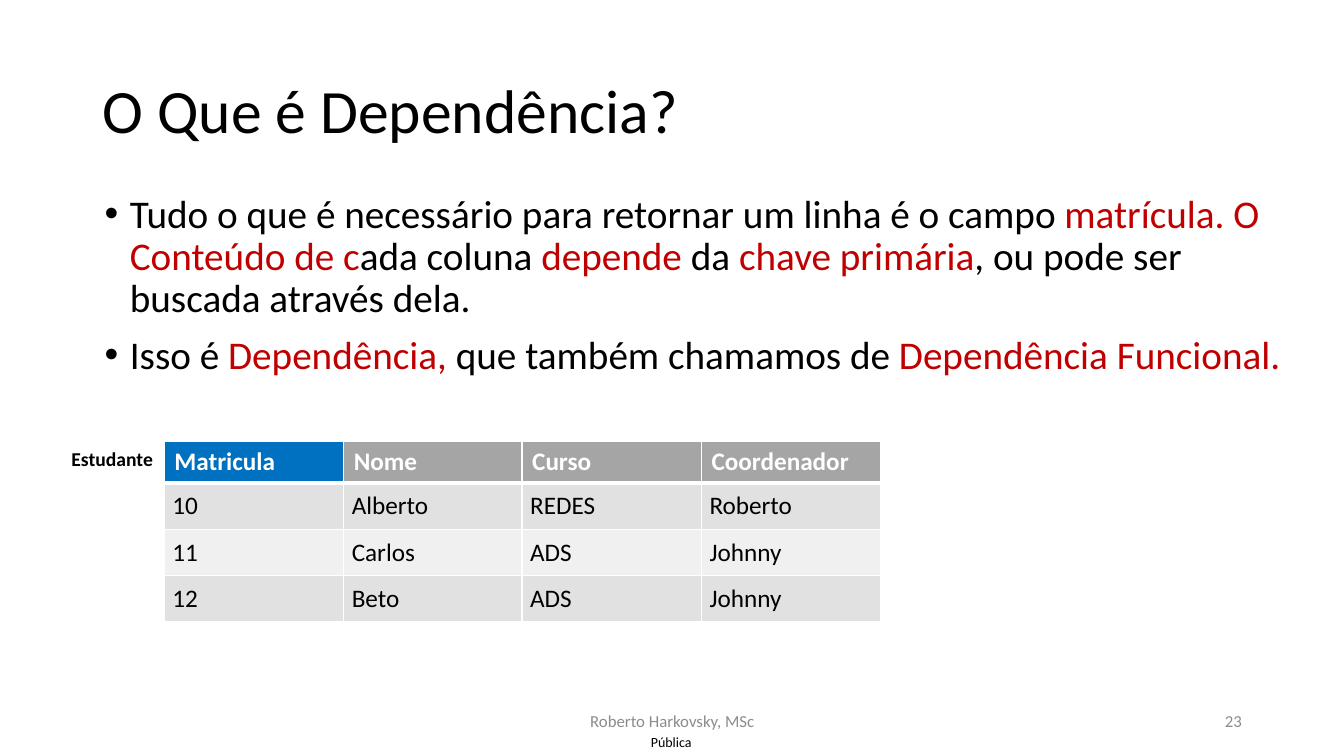
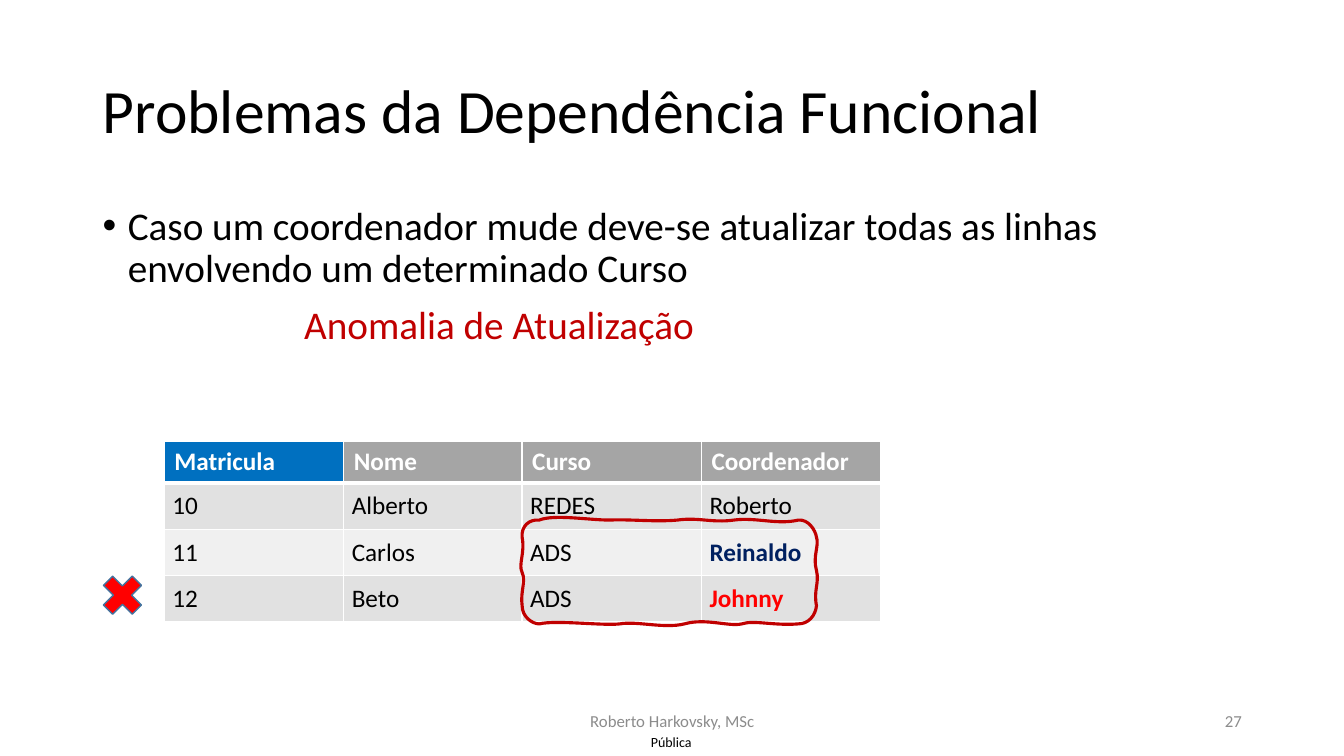
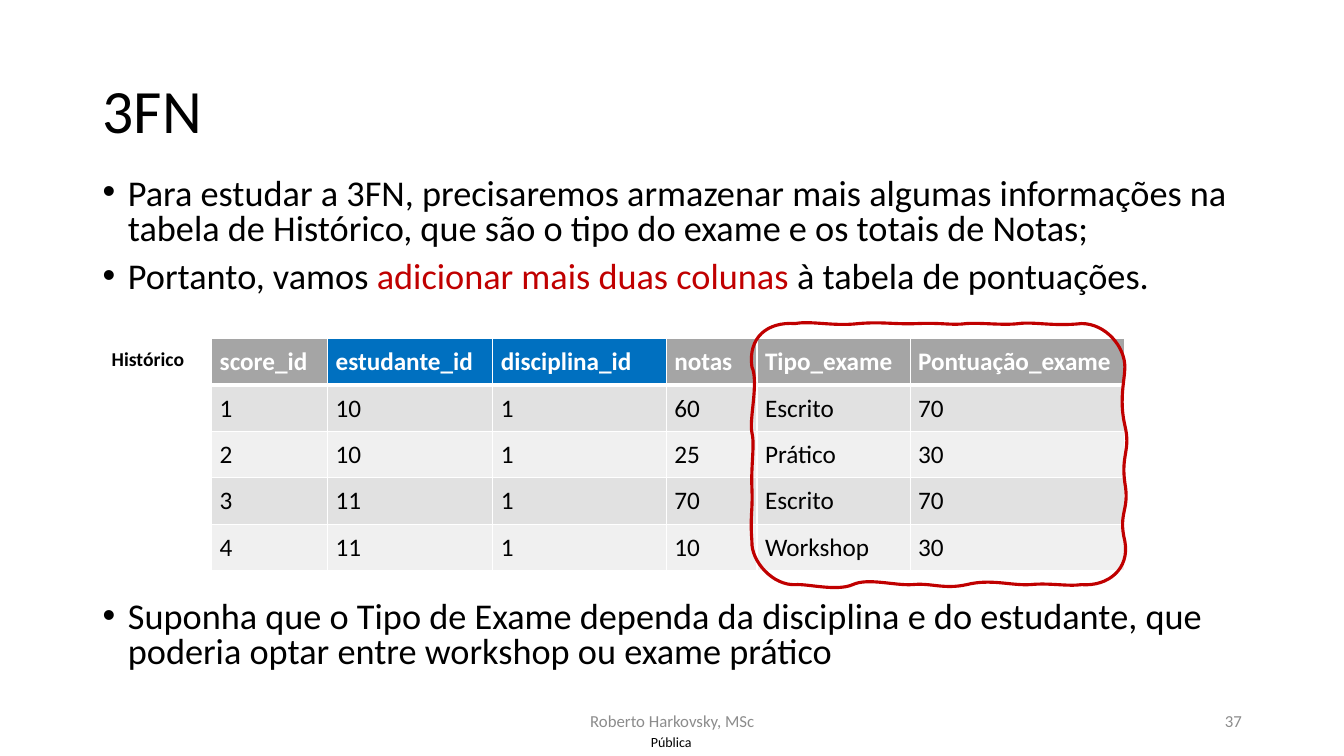
from lxml.etree import SubElement
from pptx import Presentation
from pptx.dml.color import RGBColor
from pptx.enum.shapes import MSO_SHAPE
from pptx.enum.text import MSO_ANCHOR, MSO_AUTO_SIZE, PP_ALIGN
from pptx.oxml.ns import qn
from pptx.util import Emu, Pt

SCALE = 9144  # one px is a hundredth of an inch
FONT = "Calibri"
HUES = {
    "black": "000000", "white": "FFFFFF", "gray": "8C8C8C", "key": "0070C0",
    "head": "A5A5A5", "odd": "E1E1E1", "even": "F0F0F0", "dark": "C00000",
    "red": "FF0000", "navy": "002060", "edge": "43739E",
}


def px(size):
    return Emu(round(size * SCALE))


def hue(name):
    return RGBColor.from_string(HUES[name])


class Deck:
    def __init__(self):
        self.prs = Presentation()
        self.prs.slide_width, self.prs.slide_height = px(4000 / 3), px(750)
        self.slide = None

    def page(self, title, number):
        """Start a slide with its title and footer."""
        self.slide = self.prs.slides.add_slide(self.prs.slide_layouts[5])
        head = self.slide.shapes.title
        head.left, head.top, head.width, head.height = map(px, (92, 40, 1150, 145))
        frame = head.text_frame
        frame.auto_size = MSO_AUTO_SIZE.NONE
        frame.vertical_anchor = MSO_ANCHOR.MIDDLE
        para = frame.paragraphs[0]
        para.alignment, para.line_spacing = PP_ALIGN.LEFT, 0.9
        self.run(para, title, 44)
        foot = [((631, 722, 70, 28), "Pública", 10, "black", PP_ALIGN.CENTER, 0),
                ((442, 695, 450, 40), "Roberto Harkovsky, MSc", 12, "gray", PP_ALIGN.CENTER, 5),
                ((942, 695, 300, 40), number, 12, "gray", PP_ALIGN.RIGHT, 5)]
        for box, words, size, ink, side, pad in foot:
            frame = self.frame(box, pad)
            frame.vertical_anchor = MSO_ANCHOR.MIDDLE
            frame.paragraphs[0].alignment = side
            self.run(frame.paragraphs[0], words, size, ink)

    def frame(self, box, pad=5, wrap=True):
        frame = self.slide.shapes.add_textbox(*map(px, box)).text_frame
        frame.word_wrap = wrap
        frame.margin_top = frame.margin_bottom = px(pad)
        frame.margin_left = frame.margin_right = px(2 * pad)
        return frame

    def run(self, para, words, size, ink="black", bold=False):
        run = para.add_run()
        run.text = words
        font = run.font
        font.name, font.size, font.bold = FONT, Pt(size), bold
        font.color.rgb = hue(ink)

    def body(self, box, items, size=28, lead=0.9):
        """Each item is (indent, space before, runs); indent 0 means a bullet."""
        frame = self.frame(box)
        for i, (indent, gap, runs) in enumerate(items):
            para = frame.add_paragraph() if i else frame.paragraphs[0]
            props = para._p.get_or_add_pPr()
            props.set("marL", str(px(indent or 25)))
            props.set("indent", str(px(0 if indent else -25)))
            if not indent:
                SubElement(props, qn("a:buFont"), typeface="Arial")
                SubElement(props, qn("a:buChar"), char="•")
            para.line_spacing = lead
            para.space_before = Pt(gap)
            for words, *ink in runs:
                self.run(para, words, size, *ink)

    def label(self, box, words):
        self.run(self.frame(box, wrap=False).paragraphs[0], words, 14, bold=True)

    def border(self, cell, row):
        props = cell._tc.get_or_add_tcPr()
        wide = {"lnT": row == 1, "lnB": row == 0}
        for side in ("lnL", "lnR", "lnT", "lnB"):
            line = SubElement(props, qn("a:" + side),
                              w=str(Pt(3 if wide.get(side) else 1)))
            fill = SubElement(line, qn("a:solidFill"))
            SubElement(fill, qn("a:srgbClr"), val=HUES["white"])

    def table(self, box, cols, rows, keys, pad=(8, 8), marks=None):
        """Keys are the blue headings; marks maps a cell to its ink."""
        grid = self.slide.shapes.add_table(len(rows), len(cols), *map(px, box)).table
        grid.horz_banding = False
        for col, wide in zip(grid.columns, cols):
            col.width = px(wide)
        for r, row in enumerate(rows):
            grid.rows[r].height = px(41)
            for c, words in enumerate(row):
                cell = grid.cell(r, c)
                side, edge = (8, 8) if r else pad
                cell.margin_left = cell.margin_right = px(side)
                cell.margin_top = cell.margin_bottom = px(edge)
                mark = (marks or {}).get((r, c))
                self.border(cell, r)
                cell.fill.solid()
                if r:
                    shade = "odd" if r % 2 else "even"
                else:
                    shade = "key" if c in keys else "head"
                cell.fill.fore_color.rgb = hue(shade)
                ink = mark or ("black" if r else "white")
                self.run(cell.text_frame.paragraphs[0], words, 18, ink,
                         bold=not r or bool(mark))

    def cross(self, box):
        shape = self.slide.shapes.add_shape(MSO_SHAPE.MATH_MULTIPLY, *map(px, box))
        shape.shadow.inherit = False
        shape.fill.solid()
        shape.fill.fore_color.rgb = hue("red")
        shape.line.color.rgb, shape.line.width = hue("edge"), Pt(1)

    def ring(self, start, bends):
        """Hand-drawn outline; each bend has two handles and an end."""
        pen = self.slide.shapes.build_freeform(*map(px, start), scale=1.0)
        pen.add_line_segments([tuple(map(px, bend[4:])) for bend in bends], close=True)
        shape = pen.convert_to_shape()
        # Turn the straight segments into cubic curves
        for line, bend in zip(list(shape._element.iter(qn("a:lnTo"))), bends):
            arc = line.makeelement(qn("a:cubicBezTo"))
            for x, y in zip(bend[::2], bend[1::2]):
                SubElement(arc, qn("a:pt"), x=str(px(x) - shape.left),
                           y=str(px(y) - shape.top))
            line.getparent().replace(line, arc)
        shape.shadow.inherit = False
        shape.fill.background()
        shape.line.color.rgb, shape.line.width = hue("dark"), Pt(2.25)


def students(deck, rows, marks=None):
    heads = ("Matricula", "Nome", "Curso", "Coordenador")
    deck.table((163, 438, 711, 181), [178, 177, 178, 178], [heads, *rows], {0},
               (10, 5), marks)


def main():
    deck = Deck()
    first = ("10", "Alberto", "REDES", "Roberto")

    # Dependency
    deck.page("O Que é Dependência?", "23")
    deck.body((94, 188, 1189, 476), [
        (0, 0, [("Tudo o que é necessário para retornar um linha é o campo ",),
                ("matrícula. O Conteúdo de c", "dark"), ("ada coluna ",),
                ("depende", "dark"), (" da ",), ("chave primária", "dark"),
                (", ou pode ser buscada através dela.",)]),
        (0, 10, [("Isso é ",), ("Dependência, ", "dark"),
                 ("que também chamamos de ",), ("Dependência Funcional.", "dark")]),
    ])
    students(deck, [first, ("11", "Carlos", "ADS", "Johnny"),
                    ("12", "Beto", "ADS", "Johnny")])
    deck.label((61, 438, 102, 34), "Estudante")

    # Update anomaly
    deck.page("Problemas da Dependência Funcional", "27")
    deck.body((92, 200, 1150, 476), [
        (0, 0, [("Caso um coordenador mude deve-se atualizar todas as linhas "
                 "envolvendo um determinado Curso",)]),
        (200, 10, [("Anomalia de Atualização", "dark")]),
    ])
    students(deck, [first, ("11", "Carlos", "ADS", "Reinaldo"),
                    ("12", "Beto", "ADS", "Johnny")],
             {(2, 3): "navy", (3, 3): "red"})
    deck.cross((94, 563, 55, 55))
    deck.ring((518, 533), [
        (517, 522, 525, 515, 535, 516), (550, 510, 584, 516, 605, 516),
        (625, 515, 650, 518, 672, 516), (693, 513, 706, 519, 728, 516),
        (750, 513, 771, 521, 792, 516), (802, 515, 809, 526, 810, 533),
        (813, 541, 806, 552, 810, 566), (813, 579, 807, 585, 810, 601),
        (809, 611, 802, 619, 792, 619), (768, 621, 748, 615, 736, 619),
        (723, 622, 700, 613, 679, 619), (659, 624, 632, 616, 615, 619),
        (598, 621, 552, 615, 535, 619), (528, 619, 518, 612, 518, 601),
        (516, 587, 522, 577, 518, 568), (514, 560, 521, 549, 518, 533),
    ])

    # Third normal form
    deck.page("3FN", "37")
    deck.body((92, 172, 1181, 514), [
        (0, 0, [("Para estudar a 3FN, precisaremos armazenar mais algumas informações "
                 "na tabela de Histórico, que são o tipo do exame e os totais de Notas;",)]),
        (0, 10, [("Portanto, vamos ",), ("adicionar mais duas colunas ", "dark"),
                 ("à tabela de pontuações.",)]),
        (0, 218, [("Suponha que o Tipo de Exame dependa da disciplina e do estudante, "
                   "que poderia optar entre workshop ou exame prático",)]),
    ], 25.9, 0.8)
    deck.table((210, 336, 906, 233), [115, 164, 172, 90, 152, 213], [
        ("score_id", "estudante_id", "disciplina_id", "notas", "Tipo_exame",
         "Pontuação_exame"),
        ("1", "10", "1", "60", "Escrito", "70"),
        ("2", "10", "1", "25", "Prático", "30"),
        ("3", "11", "1", "70", "Escrito", "70"),
        ("4", "11", "1", "10", "Workshop", "30"),
    ], {1, 2})
    deck.label((101, 339, 93, 34), "Histórico")
    deck.ring((746, 364), [
        (742, 335, 761, 319, 789, 321), (805, 318, 827, 324, 852, 321),
        (876, 319, 887, 322, 911, 321), (935, 320, 944, 323, 959, 321),
        (975, 320, 995, 323, 1011, 321), (1026, 319, 1045, 324, 1073, 321),
        (1097, 321, 1116, 344, 1116, 364), (1116, 377, 1110, 396, 1116, 422),
        (1122, 447, 1112, 451, 1116, 479), (1121, 507, 1109, 508, 1116, 537),
        (1121, 564, 1100, 582, 1073, 580), (1059, 582, 1041, 578, 1022, 580),
        (1002, 581, 983, 574, 959, 580), (936, 585, 924, 578, 905, 580),
        (887, 581, 861, 573, 846, 580), (830, 587, 801, 579, 789, 580),
        (767, 581, 745, 557, 746, 537), (744, 511, 747, 508, 746, 484),
        (745, 461, 749, 441, 746, 429), (743, 417, 753, 379, 746, 364),
    ])

    deck.prs.save("out.pptx")


if __name__ == "__main__":
    main()
